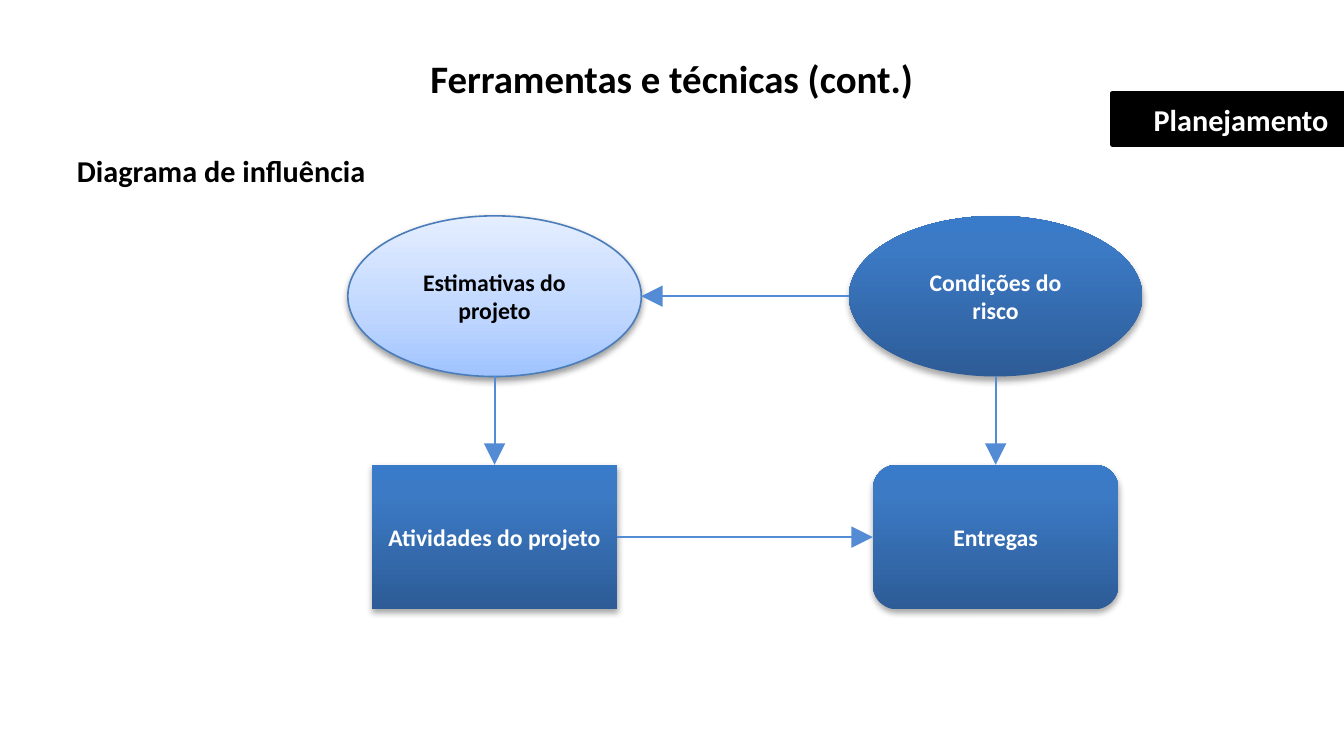
from lxml import etree
from pptx import Presentation
from pptx.dml.color import RGBColor
from pptx.enum import shapes, text
from pptx.oxml import parse_xml
from pptx.oxml.ns import nsdecls, qn
from pptx.util import Pt

BLACK = RGBColor(0x00, 0x00, 0x00)
WHITE = RGBColor(0xFF, 0xFF, 0xFF)
EDGE = RGBColor(0x4A, 0x7D, 0xBA)
ARROW = RGBColor(0x53, 0x8C, 0xD5)
PALE = [(0, RGBColor(0x9F, 0xC3, 0xFF)), (35, RGBColor(0xBD, 0xD5, 0xFF)),
        (100, RGBColor(0xE4, 0xEE, 0xFF))]
DEEP = [(0, RGBColor(0x2D, 0x5C, 0x97)), (80, RGBColor(0x3C, 0x7A, 0xC5)),
        (100, RGBColor(0x39, 0x7B, 0xC9))]


def write(shape, words, size=11, color=WHITE, align=text.PP_ALIGN.CENTER,
          anchor=text.MSO_ANCHOR.MIDDLE, wrap=True):
    frame = shape.text_frame
    frame.word_wrap = wrap
    frame.auto_size = text.MSO_AUTO_SIZE.NONE
    frame.vertical_anchor = anchor
    frame.margin_left = frame.margin_right = Pt(7.2)
    frame.margin_top = frame.margin_bottom = Pt(3.6)
    para = frame.paragraphs[0]
    para.alignment = align
    run = para.add_run()
    run.text = words
    run.font.name = "Calibri"
    run.font.size = Pt(size)
    run.font.bold = True
    run.font.color.rgb = color


def shade(shape, stops, alpha, dist):
    """Upward gradient fill and a soft shadow below."""
    marks = "".join(f'<a:gs pos="{pos * 1000}"><a:srgbClr val="{color}"/></a:gs>'
                    for pos, color in stops)
    props = shape._element.spPr
    props.find(qn("a:prstGeom")).addnext(parse_xml(
        f'<a:gradFill {nsdecls("a")} rotWithShape="1"><a:gsLst>{marks}</a:gsLst>'
        '<a:lin ang="16200000" scaled="0"/></a:gradFill>'))
    shape.shadow.inherit = False
    props.find(qn("a:effectLst")).append(parse_xml(
        f'<a:outerShdw {nsdecls("a")} blurRad="{Pt(3.1)}" dist="{Pt(dist)}" '
        'dir="5400000" rotWithShape="0"><a:srgbClr val="000000">'
        f'<a:alpha val="{alpha * 1000}"/></a:srgbClr></a:outerShdw>'))


prs = Presentation()
prs.slide_width, prs.slide_height = Pt(622.8), Pt(337.68)
slide = prs.slides.add_slide(prs.slide_layouts[5])
KIND = shapes.MSO_SHAPE
TOP = text.MSO_ANCHOR.TOP

# Title
title = slide.shapes.title
title.left, title.top, title.width, title.height = Pt(0), Pt(21.6), Pt(622.8), Pt(28.8)
write(title, "Ferramentas e técnicas (cont.)", size=18, color=BLACK, anchor=TOP)

# Phase tag
tag = slide.shapes.add_shape(KIND.RECTANGLE, Pt(515.5), Pt(43.2), Pt(107.3), Pt(23.8))
tag.shadow.inherit = False
tag.fill.solid()
tag.fill.fore_color.rgb = BLACK
tag.line.color.rgb = BLACK
tag.line.width = Pt(2)
write(tag, "Planejamento", size=14, align=text.PP_ALIGN.RIGHT)

# Diagram nodes, centred on two columns and two rows
LEFT, RIGHT = 229.2, 461.4
UPPER, LOWER = 137.2, 248.8
OVAL, BOX = (136, 74.4), (113.8, 67)
nodes = [
    ("Estimativas do projeto", KIND.OVAL, LEFT, UPPER, OVAL, PALE, BLACK),
    ("Condições do risco", KIND.OVAL, RIGHT, UPPER, OVAL, DEEP, WHITE),
    ("Atividades do projeto", KIND.RECTANGLE, LEFT, LOWER, BOX, DEEP, WHITE),
    ("Entregas", KIND.ROUNDED_RECTANGLE, RIGHT, LOWER, BOX, DEEP, WHITE),
]
made = []
for words, kind, x, y, (wide, high), stops, ink in nodes:
    node = slide.shapes.add_shape(kind, Pt(x - wide / 2), Pt(y - high / 2),
                                  Pt(wide), Pt(high))
    if stops is PALE:
        shade(node, stops, 38, 1.6)
        node.line.color.rgb = EDGE
        node.line.width = Pt(0.75)
    else:
        shade(node, stops, 35, 1.8)
        node.line.fill.background()
    write(node, words, color=ink)
    made.append(node)
tasks, goods = made[2:]

# Arrows: start, end, and the boxes they join
foot, head = UPPER + OVAL[1] / 2, LOWER - BOX[1] / 2
half = OVAL[0] / 2
side = BOX[0] / 2
arrows = [
    (RIGHT - half, UPPER, LEFT + half, UPPER, None, None),
    (LEFT, foot, LEFT, head, None, (tasks, 0)),
    (LEFT + side, LOWER, RIGHT - side, LOWER, (tasks, 3), (goods, 1)),
    (RIGHT, foot, RIGHT, head, None, (goods, 0)),
]
for x1, y1, x2, y2, start, end in arrows:
    link = slide.shapes.add_connector(shapes.MSO_CONNECTOR.STRAIGHT,
                                      Pt(x1), Pt(y1), Pt(x2), Pt(y2))
    if start:
        link.begin_connect(*start)
    if end:
        link.end_connect(*end)
    link.line.color.rgb = ARROW
    link.line.width = Pt(1)
    etree.SubElement(link.line._get_or_add_ln(), qn("a:tailEnd"),
                     type="triangle", w="lg", len="lg")
    etree.SubElement(link._element.spPr, qn("a:effectLst"))

# Diagram heading
label = slide.shapes.add_textbox(Pt(28.1), Pt(67), Pt(149), Pt(24.5))
write(label, "Diagrama de influência", size=14, color=BLACK, anchor=TOP, wrap=False)

prs.save("out.pptx")
